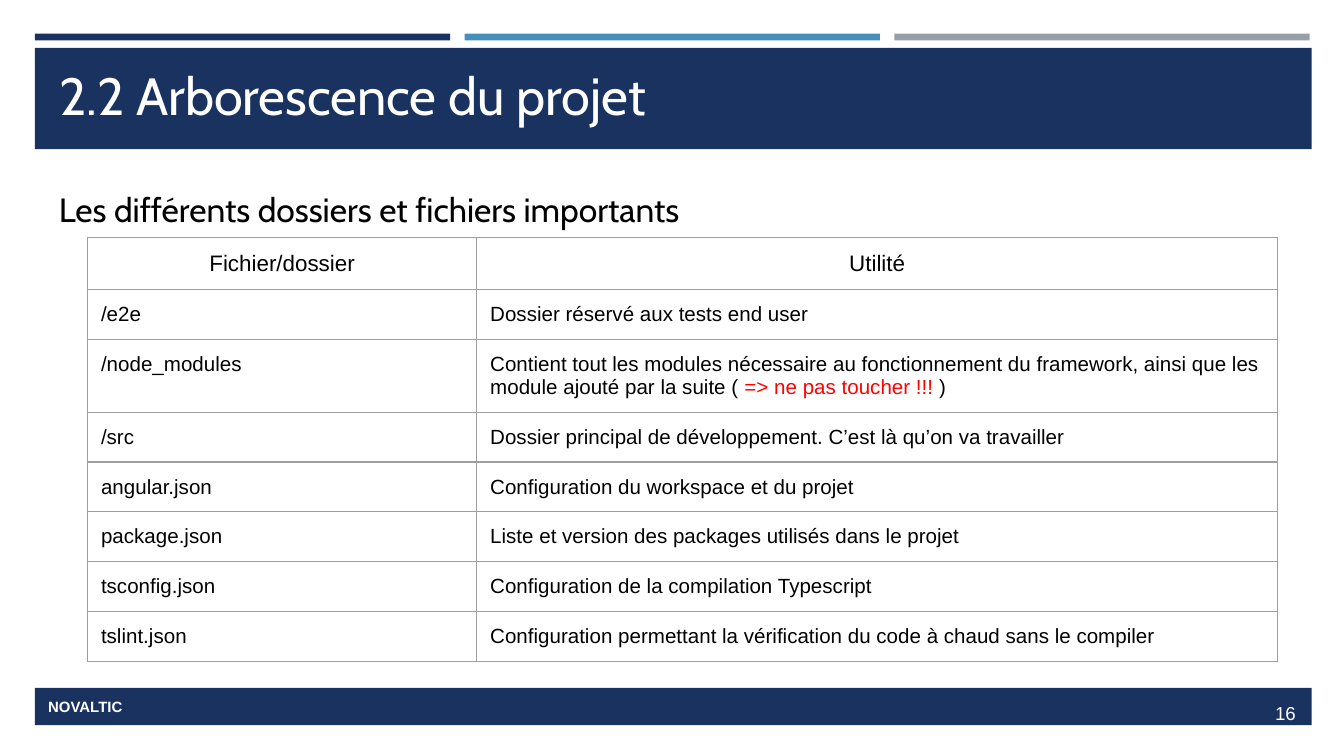
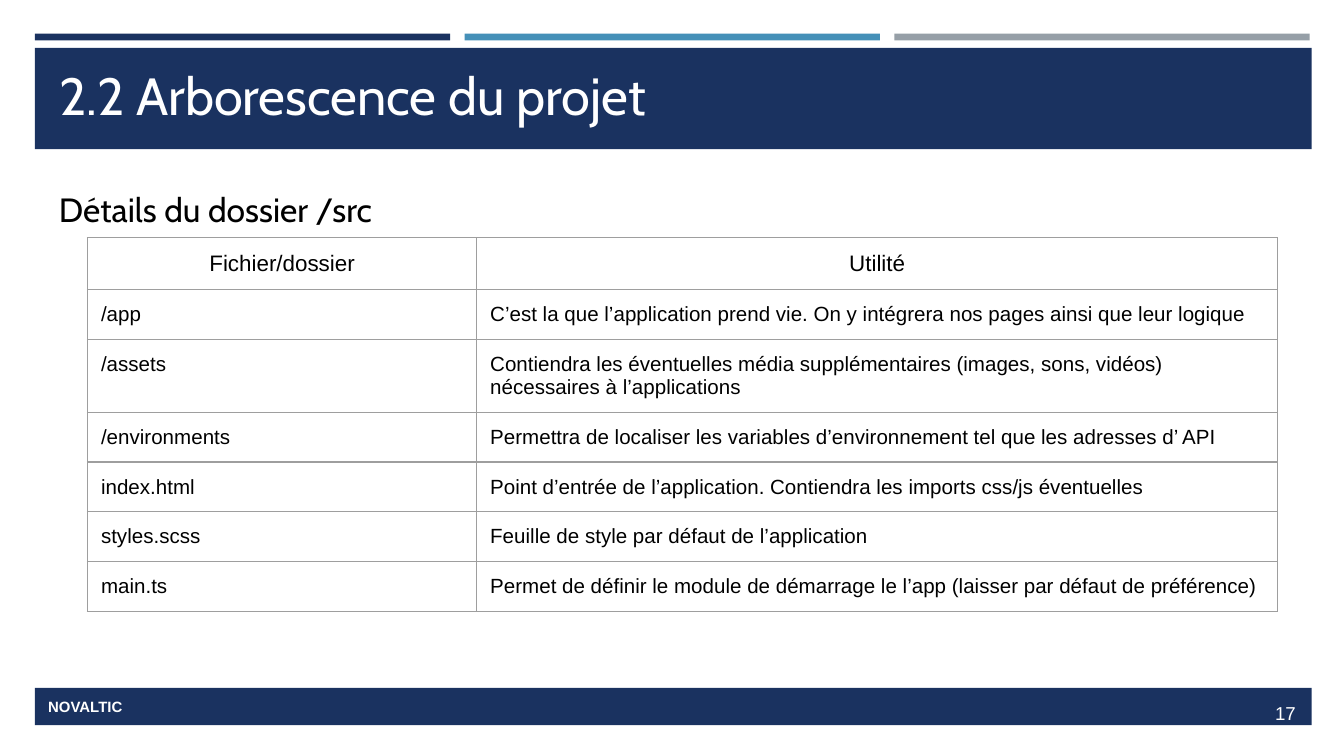
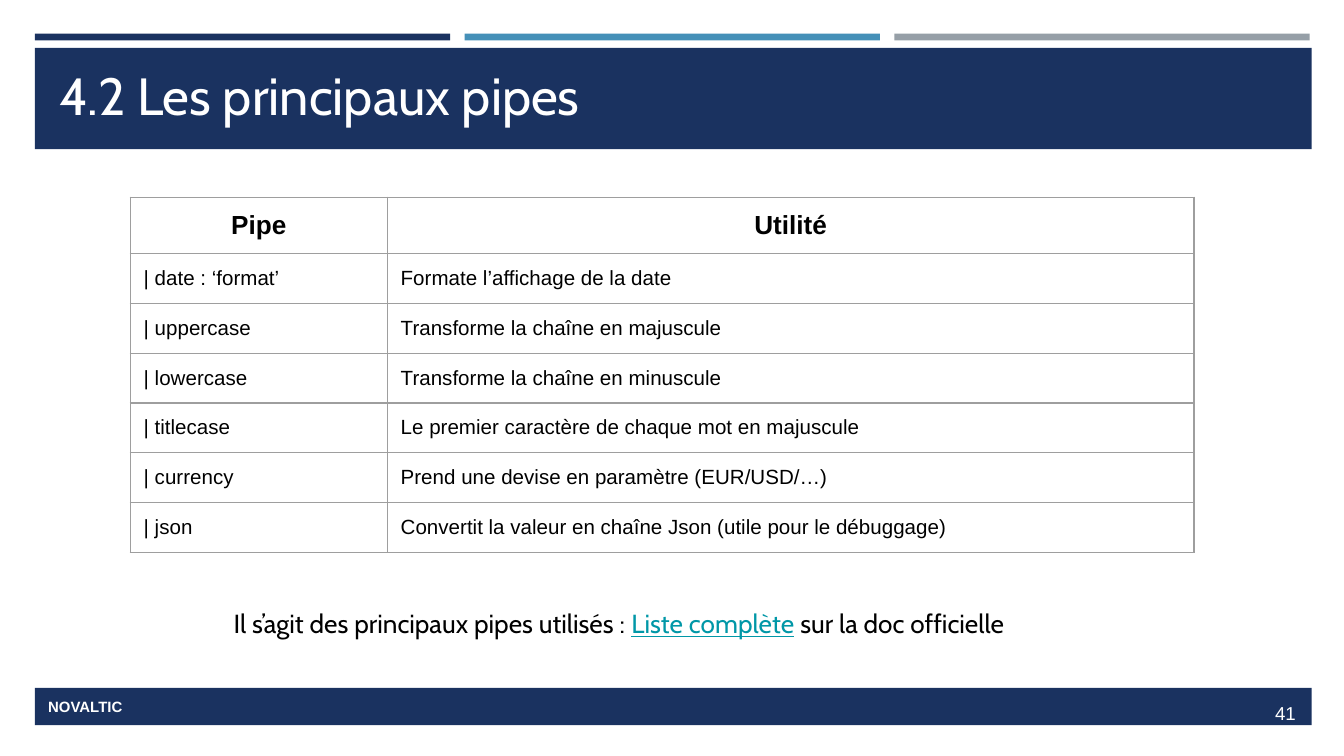
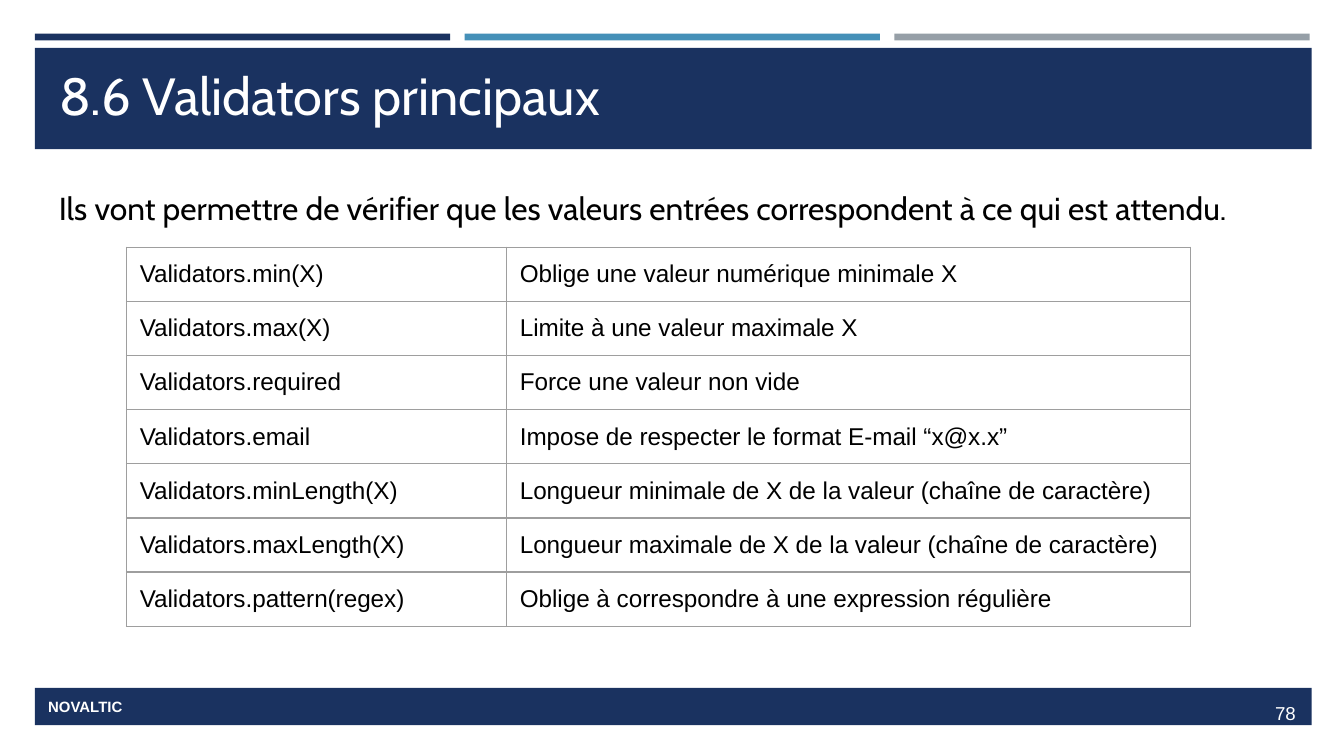
"""Build four course slides with reference tables under a shared banner and footer."""
from lxml.etree import SubElement
from pptx import Presentation
from pptx.dml.color import RGBColor
from pptx.enum.shapes import MSO_SHAPE
from pptx.enum.text import MSO_ANCHOR, MSO_AUTO_SIZE, PP_ALIGN
from pptx.oxml.ns import qn
from pptx.util import Pt

NAVY = RGBColor(0x1A, 0x32, 0x60)
BLUE = RGBColor(0x45, 0x90, 0xB8)
GREY = RGBColor(0x96, 0x9F, 0xA7)
RULE = RGBColor(0x9E, 0x9E, 0x9E)
WHITE = RGBColor(0xFF, 0xFF, 0xFF)
BLACK = RGBColor(0, 0, 0)
RED = RGBColor(0xFF, 0, 0)
TEAL = RGBColor(0, 0x97, 0xA7)

HEAD_FONT, TEXT_FONT = "Cabin", "Arial"
INSET = 7.2
LEFT, WIDTH = 18.7, 684
BAR_WIDTH, BAR_STEP = 222.5, 230.2
TITLE_BOX = (24.5, 26.6, 671, 45.4)
BODY_BOX = (24.5, 90.7, 671, 269.3)
BRAND_BOX = (LEFT, 366.5, 55.4, 20.2)
NUMBER_BOX = (658.1, 368.6, 43.2, 20.2)
NOTE_BOX = (118.1, 318.2, 473, 31.7)
BRAND = "NOVALTIC"

FILE_HEAD = ("Fichier/dossier", "Utilité")
FILE_GRID = dict(at=(46.9, 127.4), cols=(208.5, 429.1), size=11, head_size=12)

SLIDES = [
    dict(
        title="2.2 Arborescence du projet", number="16",
        intro="Les différents dossiers et fichiers importants", intro_size=18,
        grid=FILE_GRID, head=FILE_HEAD,
        rows=[
            ("/e2e", "Dossier réservé aux tests end user"),
            ("/node_modules", [
                ("Contient tout les modules nécessaire au fonctionnement du framework, "
                 "ainsi que les module ajouté par la suite ( ", BLACK),
                ("=> ne pas toucher !!!", RED),
                (" )", BLACK)]),
            ("/src", "Dossier principal de développement. C’est là qu’on va travailler"),
            ("angular.json", "Configuration du workspace et du projet"),
            ("package.json", "Liste et version des packages utilisés dans le projet"),
            ("tsconfig.json", "Configuration de la compilation Typescript"),
            ("tslint.json", "Configuration permettant la vérification du code à chaud "
                            "sans le compiler"),
        ]),
    dict(
        title="2.2 Arborescence du projet", number="17",
        intro="Détails du dossier /src", intro_size=18,
        grid=FILE_GRID, head=FILE_HEAD,
        rows=[
            ("/app", "C’est la que l’application prend vie. On y intégrera nos pages "
                     "ainsi que leur logique"),
            ("/assets", "Contiendra les éventuelles média supplémentaires (images, sons, "
                        "vidéos) nécessaires à l’applications"),
            ("/environments", "Permettra de localiser les variables d’environnement tel que "
                              "les adresses d’ API"),
            ("index.html", "Point d’entrée de l’application. Contiendra les imports css/js "
                           "éventuelles"),
            ("styles.scss", "Feuille de style par défaut de l’application"),
            ("main.ts", "Permet de définir le module de démarrage le l’app (laisser par "
                        "défaut de préférence)"),
        ]),
    dict(
        title="4.2 Les principaux pipes", number="41",
        grid=dict(at=(69.8, 105.7), cols=(137.7, 432.2), size=11, head_size=14, head_bold=True),
        head=("Pipe", "Utilité"),
        rows=[
            ("| date : ‘format’", "Formate l’affichage de la date"),
            ("| uppercase", "Transforme la chaîne en majuscule"),
            ("| lowercase", "Transforme la chaîne en minuscule"),
            ("| titlecase", "Le premier caractère de chaque mot en majuscule"),
            ("| currency", "Prend une devise en paramètre (EUR/USD/…)"),
            ("| json", "Convertit la valeur en chaîne Json (utile pour le débuggage)"),
        ],
        note=[("Il s’agit des principaux pipes utilisés : ", BLACK),
              ("Liste complète", TEAL),
              (" sur la doc officielle", BLACK)]),
    dict(
        title="8.6 Validators principaux", number="78",
        intro="Ils vont permettre de vérifier que les valeurs entrées correspondent "
              "à ce qui est attendu.", intro_size=17,
        grid=dict(at=(67.7, 132.5), cols=(203.6, 366.4), size=13),
        rows=[
            ("Validators.min(X)", "Oblige une valeur numérique minimale X"),
            ("Validators.max(X)", "Limite à une valeur maximale X"),
            ("Validators.required", "Force une valeur non vide"),
            ("Validators.email", "Impose de respecter le format E-mail “x@x.x”"),
            ("Validators.minLength(X)", "Longueur minimale de X de la valeur (chaîne de caractère)"),
            ("Validators.maxLength(X)", "Longueur maximale de X de la valeur (chaîne de caractère)"),
            ("Validators.pattern(regex)", "Oblige à correspondre à une expression régulière"),
        ]),
]


def points(values):
    return [Pt(v) for v in values]


def write(tf, text, size, font=TEXT_FONT, color=BLACK, bold=False, align=PP_ALIGN.LEFT):
    p = tf.paragraphs[0]
    p.alignment = align
    for part, part_color in [(text, color)] if isinstance(text, str) else text:
        r = p.add_run()
        r.text = part
        r.font.size = Pt(size)
        r.font.name = font
        r.font.bold = bold
        r.font.color.rgb = part_color
        if part_color == TEAL:
            r.font.underline = True
    return p


def frame_text(tf, wrap=True):
    tf.margin_left = tf.margin_right = tf.margin_top = tf.margin_bottom = Pt(INSET)
    tf.word_wrap = wrap
    tf.auto_size = MSO_AUTO_SIZE.NONE
    tf.vertical_anchor = MSO_ANCHOR.TOP
    return tf


def add_text(s, box, text, size, wrap=True, **style):
    sp = s.shapes.add_textbox(*points(box))
    return sp, write(frame_text(sp.text_frame, wrap), text, size, **style)


def add_band(s, box, color):
    sp = s.shapes.add_shape(MSO_SHAPE.RECTANGLE, *points(box))
    sp.shadow.inherit = False
    sp.fill.solid()
    sp.fill.fore_color.rgb = color
    sp.line.fill.background()
    return sp


def furnish_layout(layout, s):
    """Draw the shared banner and footer on a slide, then move them to its layout."""
    for ph in list(layout.placeholders):
        if ph.placeholder_format.idx:
            ph.element.getparent().remove(ph.element)
    parts = [add_band(s, (LEFT, 25.7, WIDTH, 54.2), NAVY),
             add_band(s, (LEFT, 368.5, WIDTH, 20), NAVY)]
    for i, color in enumerate((NAVY, BLUE, GREY)):
        parts.append(add_band(s, (LEFT + i * BAR_STEP, 18, BAR_WIDTH, 3.6), color))
    parts.append(add_text(s, BRAND_BOX, BRAND, 8, wrap=False, color=WHITE, bold=True)[0])
    for sp in parts:
        layout.shapes.element.append(sp.element)


def rule_cell(cell):
    tc_pr = cell._tc.get_or_add_tcPr()
    for side in ("lnL", "lnR", "lnT", "lnB"):
        ln = SubElement(tc_pr, qn("a:" + side), w=str(Pt(0.75)))
        fill = SubElement(ln, qn("a:solidFill"))
        SubElement(fill, qn("a:srgbClr"), val=str(RULE))


def row_height(size):
    return Pt(round(2 * INSET + 1.12 * size, 1))


def add_grid(s, rows, at, cols, size, head=None, head_size=None, head_bold=False):
    all_rows = ([head] if head else []) + rows
    sizes = ([head_size] if head else []) + [size] * len(rows)
    height = sum(row_height(z) for z in sizes)
    table = s.shapes.add_table(len(all_rows), len(cols), *points(at),
                               Pt(sum(cols)), height).table
    table.first_row = bool(head)
    table.horz_banding = False
    for column, width in zip(table.columns, cols):
        column.width = Pt(width)
    for row, texts, text_size in zip(table.rows, all_rows, sizes):
        row.height = row_height(text_size)
        is_head = texts is head
        for cell, text in zip(row.cells, texts):
            cell.margin_left = cell.margin_right = Pt(INSET)
            cell.margin_top = cell.margin_bottom = Pt(INSET)
            rule_cell(cell)
            cell.fill.background()
            write(cell.text_frame, text, text_size, bold=is_head and head_bold,
                  align=PP_ALIGN.CENTER if is_head else PP_ALIGN.LEFT)


def add_slide(s, content):
    title = s.shapes.title
    title.left, title.top, title.width, title.height = points(TITLE_BOX)
    write(frame_text(title.text_frame), content["title"], 28, font=HEAD_FONT, color=WHITE)
    if "intro" in content:
        _, p = add_text(s, BODY_BOX, content["intro"], content["intro_size"], font=HEAD_FONT)
        p.line_spacing = 1.15
    add_text(s, NUMBER_BOX, content["number"], 10, color=WHITE, align=PP_ALIGN.RIGHT)
    add_grid(s, content["rows"], head=content.get("head"), **content["grid"])
    if "note" in content:
        add_text(s, NOTE_BOX, content["note"], 14, font=HEAD_FONT)


def main():
    prs = Presentation()
    prs.slide_width, prs.slide_height = Pt(720), Pt(405)
    layout = prs.slide_layouts[5]
    for i, content in enumerate(SLIDES):
        s = prs.slides.add_slide(layout)
        if i == 0:
            furnish_layout(layout, s)
        add_slide(s, content)
    prs.save("out.pptx")


if __name__ == "__main__":
    main()
